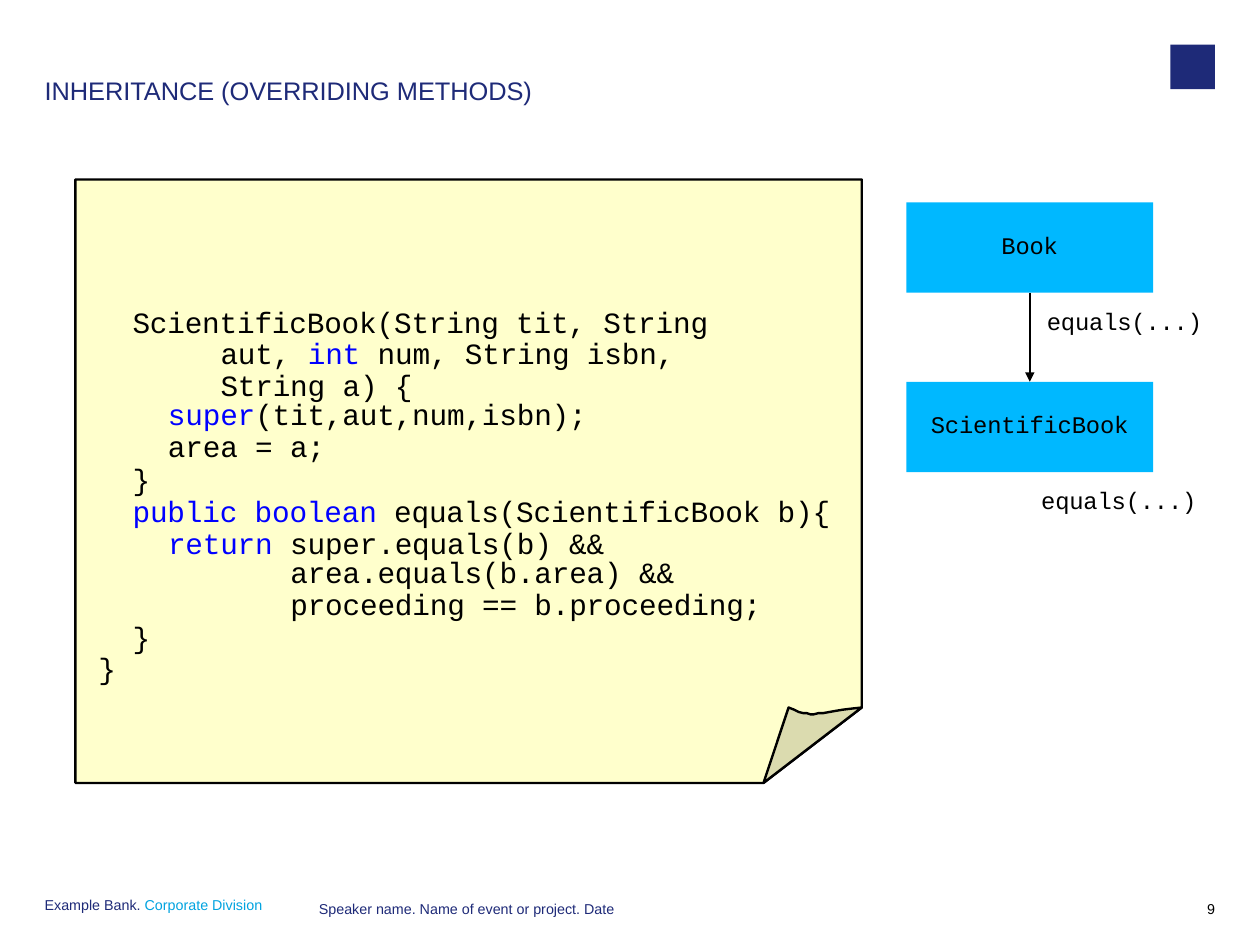
from lxml import etree
from pptx import Presentation
from pptx.dml.color import RGBColor
from pptx.enum import shapes, text
from pptx.oxml import ns
from pptx.util import Inches, Pt

NAVY = RGBColor(0x1E, 0x2A, 0x78)
CYAN = RGBColor(0x00, 0xA3, 0xE0)
BLACK = RGBColor(0x00, 0x00, 0x00)
KEYWORD = RGBColor(0x00, 0x00, 0xFF)
PAPER = RGBColor(0xFF, 0xFF, 0xCC)
FOLD = RGBColor(0xDB, 0xDB, 0xAF)
SKY = RGBColor(0x00, 0xB8, 0xFF)
TOP, MIDDLE = text.MSO_ANCHOR.TOP, text.MSO_ANCHOR.MIDDLE
LEFT, CENTER, RIGHT = text.PP_ALIGN.LEFT, text.PP_ALIGN.CENTER, text.PP_ALIGN.RIGHT

prs = Presentation()
prs.slide_width = Inches(28 / 2.54)
prs.slide_height = Inches(21 / 2.54)
slide = prs.slides.add_slide(prs.slide_layouts[5])


def write(frame, paragraphs, size, face="Arial", anchor=TOP, align=LEFT):
    frame_format = {"margin_left": 0, "margin_top": 0, "margin_right": 0, "margin_bottom": 0,
                    "word_wrap": True, "auto_size": text.MSO_AUTO_SIZE.NONE,
                    "vertical_anchor": anchor}
    for name, value in frame_format.items():
        setattr(frame, name, value)
    for index, (spacing, margin, indent, runs) in enumerate(paragraphs):
        line = frame.add_paragraph() if index else frame.paragraphs[0]
        properties = line._p.get_or_add_pPr()
        properties.set("marL", str(Inches(margin)))
        properties.set("indent", str(Inches(indent)))
        for name, value in {"alignment": align, "line_spacing": spacing}.items():
            setattr(line, name, value)
        for words, color in runs:
            run = line.add_run()
            run.text = words
            for name, value in {"size": Pt(size), "name": face, "bold": False}.items():
                setattr(run.font, name, value)
            run.font.color.rgb = color
            if face == "Courier New":
                run.font._element.set("spc", "-10")


def outline(points, fill):
    corners = [(Inches(x), Inches(y)) for x, y in points]
    builder = slide.shapes.build_freeform(*corners[0])
    builder.add_line_segments(corners[1:], close=True)
    sheet = builder.convert_to_shape()
    sheet.shadow.inherit = False
    sheet.fill.solid()
    sheet.fill.fore_color.rgb = fill
    sheet.line.color.rgb = BLACK
    sheet.line.width = Pt(1.5)


heading = slide.shapes.title
for name, value in {"left": 0.39, "top": 0.69, "width": 9.47, "height": 0.61}.items():
    setattr(heading, name, Inches(value))
write(heading.text_frame, [(0.9, 0, 0, [("INHERITANCE (OVERRIDING METHODS)", NAVY)])], 16)

emblem = slide.shapes.add_shape(shapes.MSO_SHAPE.RECTANGLE,
                                Inches(10.24), Inches(0.39), Inches(0.39), Inches(0.39))
emblem.shadow.inherit = False
emblem.fill.solid()
emblem.fill.fore_color.rgb = NAVY
emblem.line.fill.background()

footers = [
    (0.39, 7.87, 2.19, LEFT, [("Example Bank. ", NAVY), ("Corporate Division", CYAN)]),
    (2.79, 7.9, 5.4, LEFT, [("Speaker name. Name of event or project. Date", NAVY)]),
    (10.24, 7.9, 0.39, RIGHT, [("9", BLACK)]),
]
for left, top, width, align, runs in footers:
    footer = slide.shapes.add_textbox(Inches(left), Inches(top), Inches(width), Inches(0.2))
    write(footer.text_frame, [(Pt(9), 0, 0, runs)], 9, align=align)

outline([(7.54, 6.19), (7.54, 1.57), (0.66, 1.57), (0.66, 6.85), (6.68, 6.85)], PAPER)
outline([(7.54, 6.19), (7.45, 6.2), (7.37, 6.21), (7.31, 6.22), (7.2, 6.24), (7.16, 6.24),
         (7.12, 6.25), (7.09, 6.25), (7.06, 6.24), (7.03, 6.24), (6.99, 6.23),
         (6.95, 6.21), (6.9, 6.19), (6.68, 6.85)], FOLD)

constructor = [
    (Pt(19.9), 0.78, -0.77, [
        ("ScientificBook(String tit, String aut, ", BLACK), ("int ", KEYWORD),
        ("num, String isbn, String a) {", BLACK)]),
    (Pt(18.4), 0.32, 0, [("super", KEYWORD), ("(tit,aut,num,isbn);", BLACK)]),
    (Pt(19.9), 0.32, 0, [("area = a;", BLACK)]),
    (Pt(21.1), 0.01, 0, [("}", BLACK)]),
]
equals_method = [
    (Pt(19.9), 0.32, -0.31, [
        ("public boolean ", KEYWORD), ("equals(ScientificBook b){ ", BLACK),
        ("return ", KEYWORD), ("super.equals(b) &&", BLACK)]),
    (Pt(18.4), 1.39, 0, [("area.equals(b.area) &&", BLACK)]),
    (Pt(19.9), 1.39, 0, [("proceeding == b.proceeding;", BLACK)]),
    (Pt(21.1), 0.01, 0, [("}", BLACK)]),
]
class_end = [(1.0, 0.01, 0, [("}", BLACK)])]
call = [(1.0, 0.01, 0, [("equals(...)", BLACK)])]
code_parts = [
    (1.15, 2.69, 5.8, 1.44, 18.5, constructor),
    (1.15, 4.35, 6.15, 1.44, 18.5, equals_method),
    (0.85, 5.69, 0.18, 0.34, 18.5, class_end),
    (9.15, 2.68, 1.4, 0.28, 15, call),
    (9.1, 4.25, 1.4, 0.28, 15, call),
]
for left, top, width, height, size, lines in code_parts:
    code = slide.shapes.add_textbox(Inches(left), Inches(top), Inches(width), Inches(height))
    write(code.text_frame, lines, size, "Courier New")

classes = []
for class_name, top in [("Book", 1.77), ("ScientificBook", 3.34)]:
    class_box = slide.shapes.add_shape(shapes.MSO_SHAPE.RECTANGLE,
                                       Inches(7.93), Inches(top), Inches(2.16), Inches(0.79))
    class_box.shadow.inherit = False
    class_box.fill.solid()
    class_box.fill.fore_color.rgb = SKY
    class_box.line.fill.background()
    write(class_box.text_frame, [(1.0, 0, 0, [(class_name, BLACK)])], 15,
          "Courier New", MIDDLE, CENTER)
    class_box.text_frame.margin_bottom = Inches(0.05)
    classes.append(class_box)

book, scientific_book = classes
inheritance = slide.shapes.add_connector(shapes.MSO_CONNECTOR.STRAIGHT, 0, 0, 0, 0)
inheritance.begin_connect(book, 2)
inheritance.end_connect(scientific_book, 0)
inheritance.line.color.rgb = BLACK
inheritance.line.width = Pt(1)
etree.SubElement(inheritance.line._get_or_add_ln(), ns.qn("a:tailEnd"), type="triangle")
etree.SubElement(inheritance._element.spPr, ns.qn("a:effectLst"))

prs.save("out.pptx")
